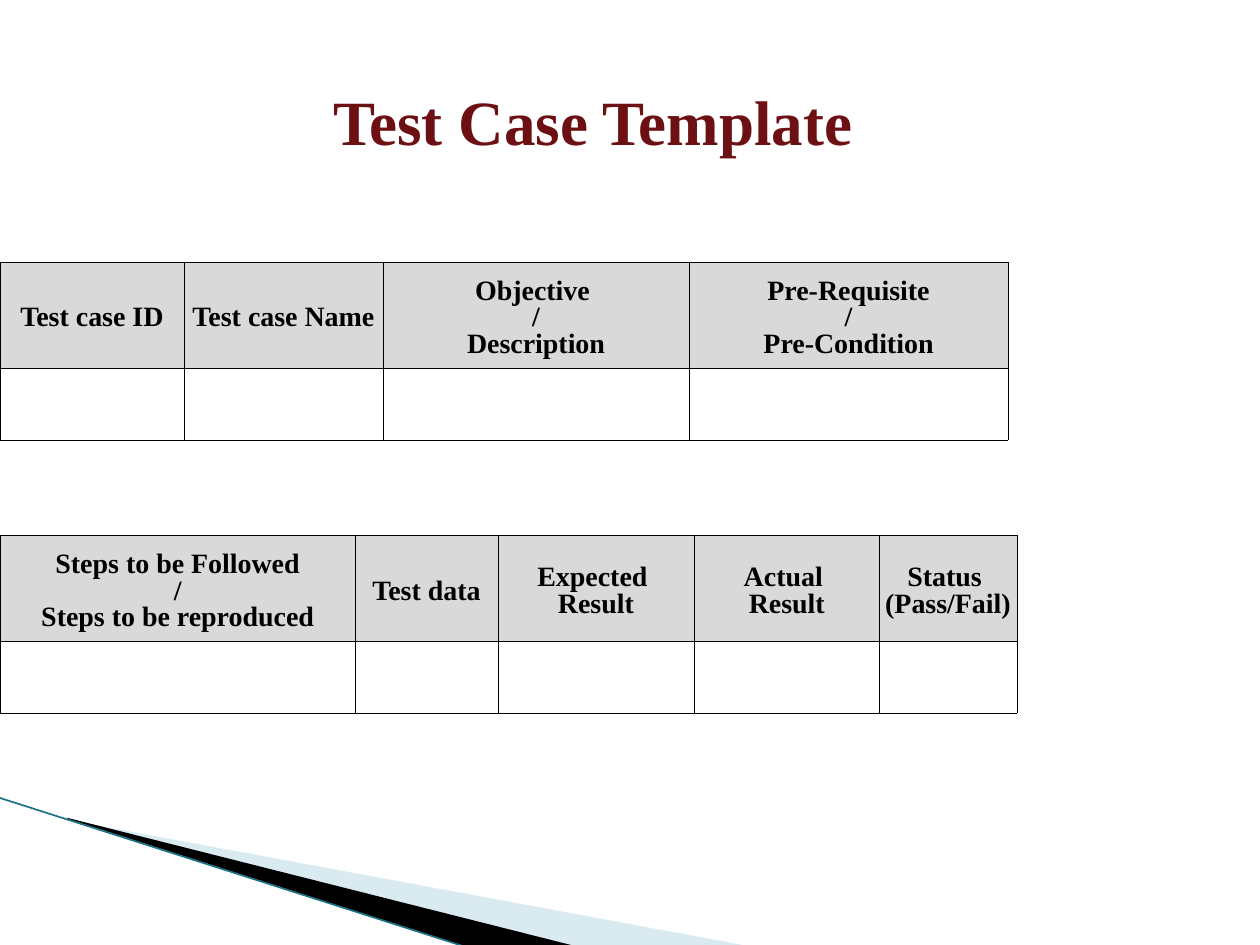
from pptx import Presentation
from pptx.dml.color import RGBColor
from pptx.enum.shapes import MSO_CONNECTOR
from pptx.enum.text import MSO_ANCHOR, PP_ALIGN
from pptx.oxml.xmlchemy import OxmlElement
from pptx.util import Inches, Pt

STRAIGHT = MSO_CONNECTOR.STRAIGHT
MIDDLE = MSO_ANCHOR.MIDDLE
CENTER = PP_ALIGN.CENTER

BLACK, WHITE, GREY = "000000", "FFFFFF", "D9D9D9"
MAROON, TEAL, PALE_BLUE = "6D1014", "1A7386", "A0CBDC"


def color(hex_code):
    return RGBColor.from_string(hex_code)


def write_text(frame, text, size=16, fill=BLACK, bold=True,
               font="Times New Roman", spacing=None):
    paragraph = frame.paragraphs[0]
    paragraph.text = text.replace("\n", "\v")
    paragraph.alignment = CENTER
    if spacing:
        paragraph.line_spacing = spacing
    for run in paragraph.runs:
        run.font.name = font
        run.font.size = Pt(size)
        run.font.bold = bold
        run.font.color.rgb = color(fill)


class SlideBuilder:
    row_heights = (0.84, 0.57)
    border_width = Pt(0.06)

    def __init__(self, slide):
        self.slide = slide

    def polygon(self, points, fill, opacity=100):
        corners = [(Inches(x), Inches(y)) for x, y in points]
        builder = self.slide.shapes.build_freeform(*corners[0])
        builder.add_line_segments(corners[1:], close=True)
        shape = builder.convert_to_shape()
        shape.shadow.inherit = False
        shape.fill.solid()
        shape.fill.fore_color.rgb = color(fill)
        shape.line.fill.background()
        if opacity < 100:
            alpha = OxmlElement("a:alpha")
            alpha.set("val", str(opacity * 1000))
            shape.fill._xPr.solidFill[0].append(alpha)

    def line(self, start, end, fill, width):
        ends = [Inches(value) for value in (*start, *end)]
        connector = self.slide.shapes.add_connector(STRAIGHT, *ends)
        connector.line.color.rgb = color(fill)
        connector.line.width = Pt(width)
        connector._element.spPr.append(OxmlElement("a:effectLst"))

    def title(self, text, left, top, width, height):
        box = self.slide.shapes.add_textbox(
            Inches(left), Inches(top), Inches(width), Inches(height))
        frame = box.text_frame
        frame.word_wrap = True
        frame.vertical_anchor = MIDDLE
        write_text(frame, text, size=36, fill=MAROON)

    def cell_borders(self, cell):
        properties = cell._tc.get_or_add_tcPr()
        for side in ("a:lnL", "a:lnR", "a:lnT", "a:lnB"):
            border = OxmlElement(side)
            border.set("w", str(self.border_width))
            solid = OxmlElement("a:solidFill")
            rgb = OxmlElement("a:srgbClr")
            rgb.set("val", BLACK)
            solid.append(rgb)
            border.append(solid)
            properties.append(border)

    def table(self, top, columns):
        """Draw a header row over one empty row; columns are (heading, width)."""
        widths = [width for _, width in columns]
        table = self.slide.shapes.add_table(
            len(self.row_heights), len(columns), 0, Inches(top),
            Inches(sum(widths)), Inches(sum(self.row_heights))).table
        for row, height in zip(table.rows, self.row_heights):
            row.height = Inches(height)
        for index, (heading, width) in enumerate(columns):
            table.columns[index].width = Inches(width)
            header = table.cell(0, index)
            header.vertical_anchor = MIDDLE
            header.margin_left = header.margin_right = Inches(0.04)
            header.margin_top = Inches(0.08)
            header.margin_bottom = Inches(0.02)
            write_text(header.text_frame, heading, spacing=0.86)
            for cell, fill in ((header, GREY), (table.cell(1, index), WHITE)):
                self.cell_borders(cell)
                cell.fill.solid()
                cell.fill.fore_color.rgb = color(fill)


def main():
    presentation = Presentation()
    presentation.slide_width = Inches(10)
    presentation.slide_height = Inches(7.5)
    slide = presentation.slides.add_slide(presentation.slide_layouts[6])
    builder = SlideBuilder(slide)

    # Corner decoration
    builder.polygon([(0.55, 6.51), (5.95, 7.51), (4.56, 7.51), (0.55, 6.5)],
                    PALE_BLUE, opacity=40)
    builder.polygon([(0.53, 6.49), (4.57, 7.51), (3.72, 7.52), (0.54, 6.5)], BLACK)
    builder.line((-0.01, 6.33), (3.71, 7.52), TEAL, 0.95)

    # Title
    builder.title("Test Case Template", 0.58, 0.17, 8.25, 1.57)

    # Test case identification
    builder.table(2.08, [
        ("Test case ID", 1.46),
        ("Test case Name", 1.58),
        ("Objective \n/\nDescription", 2.43),
        ("Pre-Requisite\n/\nPre-Condition", 2.53),
    ])

    # Test steps and results
    builder.table(4.25, [
        ("Steps to be Followed\n/\nSteps to be reproduced", 2.82),
        ("Test data", 1.13),
        ("Expected \nResult", 1.56),
        ("Actual \nResult", 1.47),
        ("Status \n(Pass/Fail)", 1.09),
    ])

    presentation.save("out.pptx")


if __name__ == "__main__":
    main()
